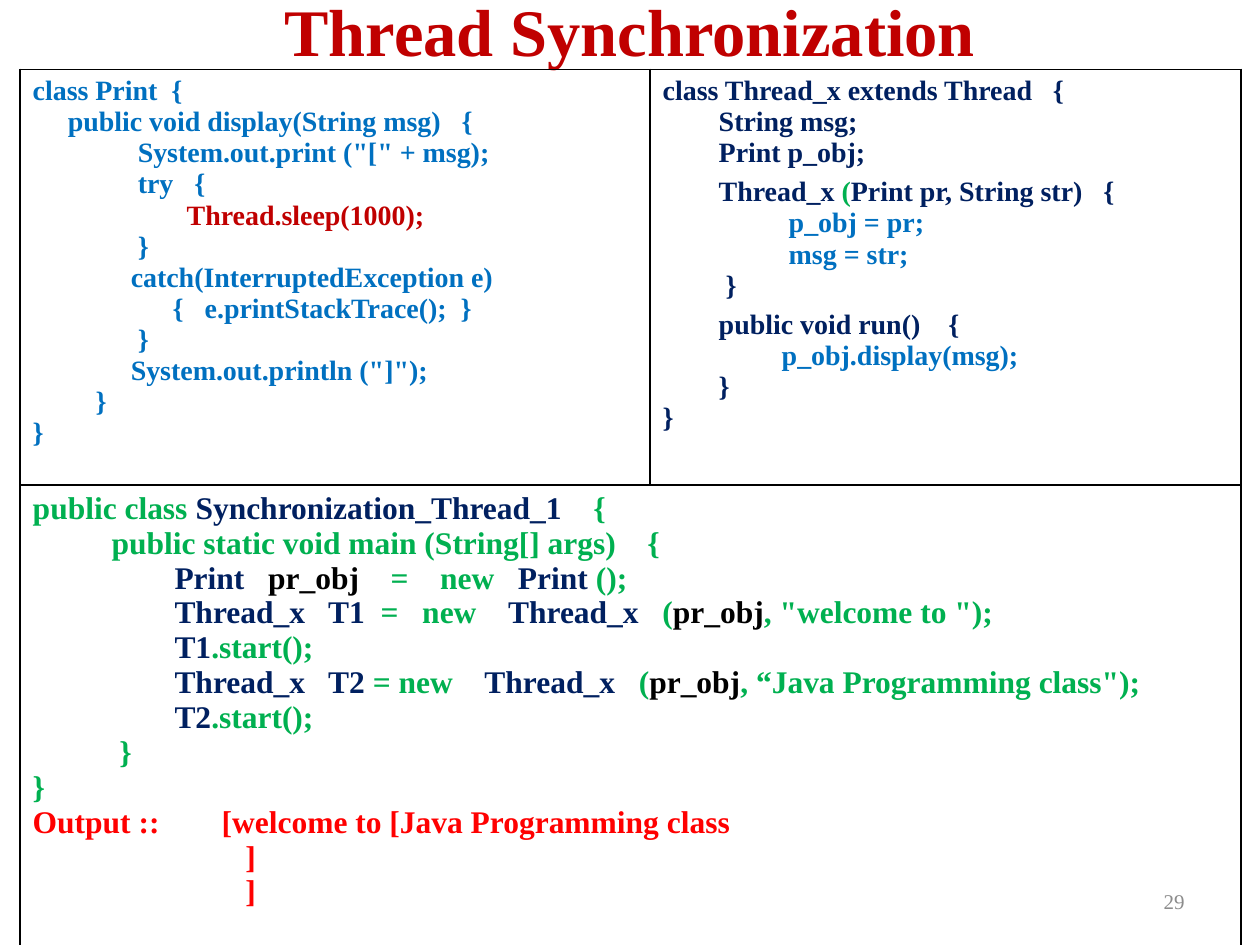
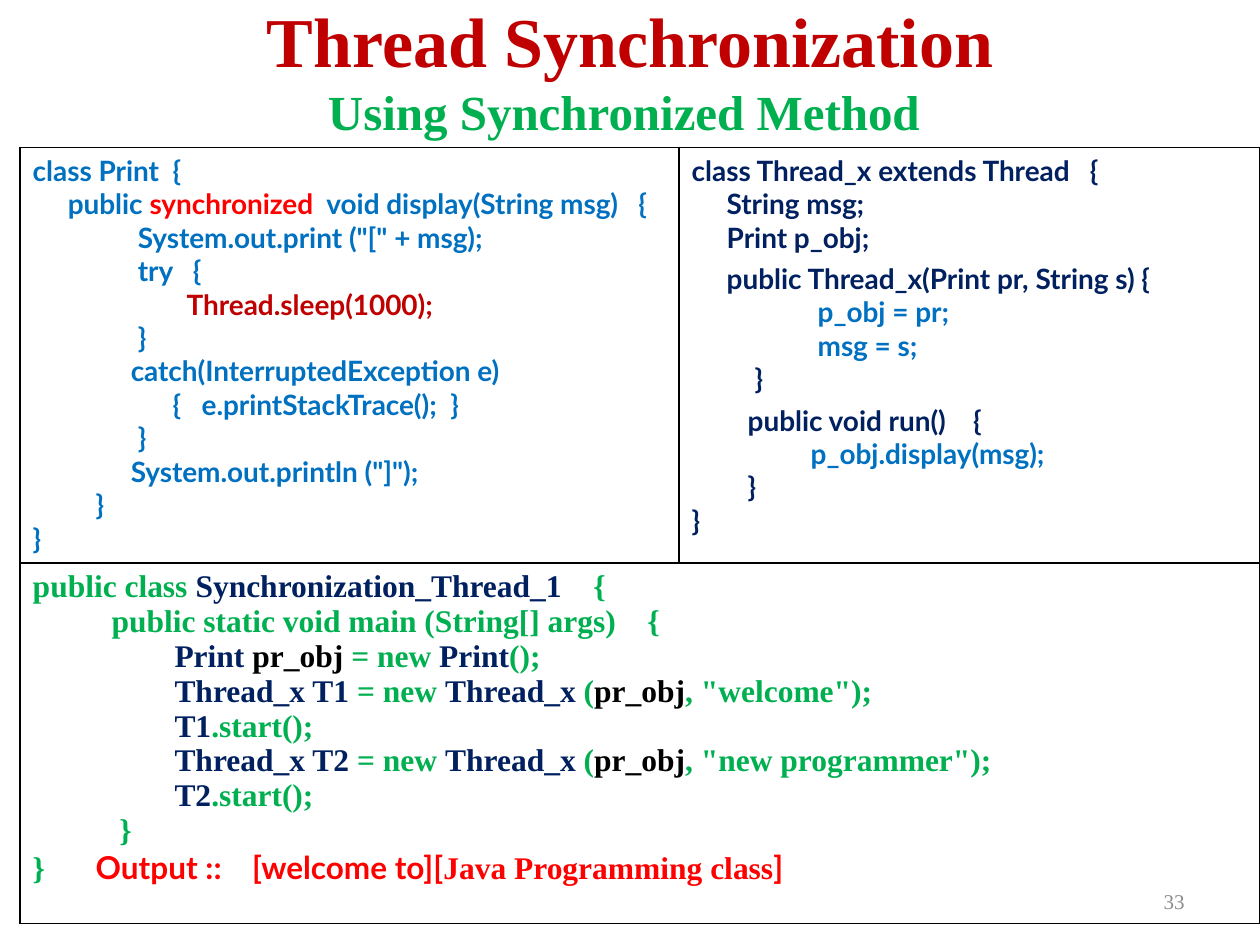
from lxml.etree import SubElement
from pptx import Presentation
from pptx.dml.color import RGBColor
from pptx.enum.text import MSO_ANCHOR, PP_ALIGN
from pptx.oxml.ns import qn
from pptx.util import Inches, Pt

SERIF, SANS = "Times New Roman", "Lato"
CODE, MAIN = 16, 18
GAP = 4.5


def ink(hue):
    """Return a maker of (text, colour, font) runs in one colour."""
    return lambda text, face=None: (text, hue, face)


blue, navy, green = ink("0070C0"), ink("002060"), ink("00B050")
black, dark, red, gray = ink("000000"), ink("C00000"), ink("FF0000"), ink("8C8C8C")


def line(depth, *runs, gap=0, tab=None):
    """Describe a code line; depth counts space widths, gap is in points."""
    return {"depth": depth, "runs": runs, "gap": gap, "tab": tab}


def add_run(para, run, size, face, bold=True):
    text, hue, own = run
    piece = para.add_run()
    piece.text = text
    font = piece.font
    font.size, font.bold, font.name = Pt(size), bold, own or face
    font.color.rgb = RGBColor.from_string(hue)


def fill_code(cell, lines, size, face):
    cell.fill.background()
    frame = cell.text_frame
    for i, row in enumerate(lines):
        para = frame.paragraphs[0] if i == 0 else frame.add_paragraph()
        para.space_before = Pt(row["gap"])
        props = para._p.get_or_add_pPr()
        props.set("marL", str(Pt(row["depth"] * size / 4)))
        props.set("indent", "0")
        if row["tab"]:
            stops = SubElement(props, qn("a:tabLst"))
            SubElement(stops, qn("a:tab"), pos=str(Inches(row["tab"])), algn="l")
        for run in row["runs"]:
            add_run(para, run, size, face)


def add_edges(cell):
    """Draw a thin black line on all four sides of a cell."""
    props = cell._tc.get_or_add_tcPr()
    for i, side in enumerate(("a:lnL", "a:lnR", "a:lnT", "a:lnB")):
        edge = props.makeelement(qn(side), {"w": str(Pt(1))})
        fill = SubElement(edge, qn("a:solidFill"))
        SubElement(fill, qn("a:srgbClr"), val="000000")
        props.insert(i, edge)


def add_code(slide, top, widths, heights, cells, face):
    """Add two class listings side by side above the full-width main class."""
    shape = slide.shapes.add_table(
        2, 2, Inches(0.16), Inches(top), Inches(sum(widths)), Inches(sum(heights)))
    table = shape.table
    table.first_row = table.horz_banding = False
    for col, width in zip(table.columns, widths):
        col.width = Inches(width)
    for row, height in zip(table.rows, heights):
        row.height = Inches(height)
    left, right, base = cells
    fill_code(table.cell(0, 0), left, CODE, face)
    fill_code(table.cell(0, 1), right, CODE, face)
    table.cell(1, 0).merge(table.cell(1, 1))
    fill_code(table.cell(1, 0), base, MAIN, SERIF)
    for cell in table.iter_cells():
        add_edges(cell)


def add_box(slide, left, top, width, height, align):
    frame = slide.shapes.add_textbox(
        Inches(left), Inches(top), Inches(width), Inches(height)).text_frame
    frame.word_wrap = True
    frame.vertical_anchor = MSO_ANCHOR.MIDDLE
    para = frame.paragraphs[0]
    para.alignment = align
    return para


def add_title(slide, top, size, extra=None):
    para = add_box(slide, 0, top, 10, 1.25, PP_ALIGN.CENTER)
    add_run(para, dark("Thread Synchronization"), size, SERIF)
    if extra:
        para.add_line_break()
        add_run(para, green(extra), 28, SERIF)


def add_number(slide, number):
    para = add_box(slide, 7.17, 6.95, 2.33, 0.4, PP_ALIGN.RIGHT)
    add_run(para, gray(str(number)), 12, SERIF, bold=False)


def print_class(*header):
    return [
        line(0, blue("class Print  {")),
        line(5, *header),
        line(15, blue('System.out.print ("[" + msg);')),
        line(15, blue("try   {")),
        line(22, dark("Thread.sleep(1000);")),
        line(15, blue("}")),
        line(14, blue("catch(InterruptedException e)")),
        line(20, blue("{   e.printStackTrace();  }")),
        line(15, blue("}")),
        line(14, blue('System.out.println ("]");')),
        line(9, blue("}")),
        line(0, blue("}")),
    ]


def thread_class(depth, value, *header):
    return [
        line(0, navy("class Thread_x extends Thread   {")),
        line(depth, navy("String msg;")),
        line(depth, navy("Print p_obj;")),
        line(depth, *header, gap=GAP),
        line(18, blue("p_obj = pr;")),
        line(18, blue(f"msg = {value};")),
        line(9, navy("}")),
        line(8, navy("public void run()    {"), gap=GAP),
        line(17, blue("p_obj.display(msg);")),
        line(8, navy("}")),
        line(0, navy("}")),
    ]


def start_thread(name, space, equals, text):
    """List the two lines that create a thread and start it."""
    return [
        line(18, navy(f"Thread_x{space}{name}"), green(equals), navy("Thread_x"),
             green(f"{space}("), black("pr_obj"), green(f", {text});")),
        line(18, navy(name), green(".start();")),
    ]


def main_class(create, *threads):
    return [
        line(0, green("public class "), navy("Synchronization_Thread_1 "),
             green("   {")),
        line(10, green("public static void main (String[] args)    {")),
        line(18, *create),
        *[row for thread in threads for row in start_thread(*thread)],
        line(11, green("}")),
    ]


def main():
    deck = Presentation()
    deck.slide_width, deck.slide_height = Inches(10), Inches(7.5)
    blank = deck.slide_layouts[6]

    plain = deck.slides.add_slide(blank)
    add_title(plain, -0.39, 38)
    cells = (
        print_class(blue("public void display(String msg)   {")),
        thread_class(8, "str", navy("Thread_x"), green(" ("),
                     navy("Print pr, String str)   {")),
        main_class(
            (navy("Print   "), black("pr_obj    "), green("=    new   "),
             navy("Print "), green("();")),
            ("T1", "   ", "  =   new    ", '"welcome to "'),
            ("T2", "   ", " = new    ", '“Java Programming class"'),
        ) + [
            line(0, green("}")),
            line(0, red("Output ::\t[welcome to [Java Programming class"), tab=1.63),
            line(27, red("]")),
            line(27, red("]")),
        ],
    )
    add_code(plain, 0.55, (5, 4.69), (3.28, 3.42), cells, SERIF)
    add_number(plain, 29)

    synced = deck.slides.add_slide(blank)
    add_title(synced, -0.08, 40, "Using Synchronized Method ")
    cells = (
        print_class(blue("public "), red("synchronized "),
                    blue(" void display(String msg)   {")),
        thread_class(5, "s", navy("public Thread_x(Print pr, String s) {")),
        main_class(
            (navy("Print "), black("pr_obj "), green("= new "),
             navy("Print"), green("();")),
            ("T1", " ", " = new ", '"welcome"'),
            ("T2", " ", " = new ", '"new programmer"'),
        ) + [
            line(0, green("}\t"), red("Output ::    [welcome to][", SANS),
                 red("Java Programming class"), red("]", SANS), tab=1.85),
        ],
    )
    add_code(synced, 1.17, (5.23, 4.61), (3.28, 2.86), cells, SANS)
    add_number(synced, 33)

    deck.save("out.pptx")


if __name__ == "__main__":
    main()
